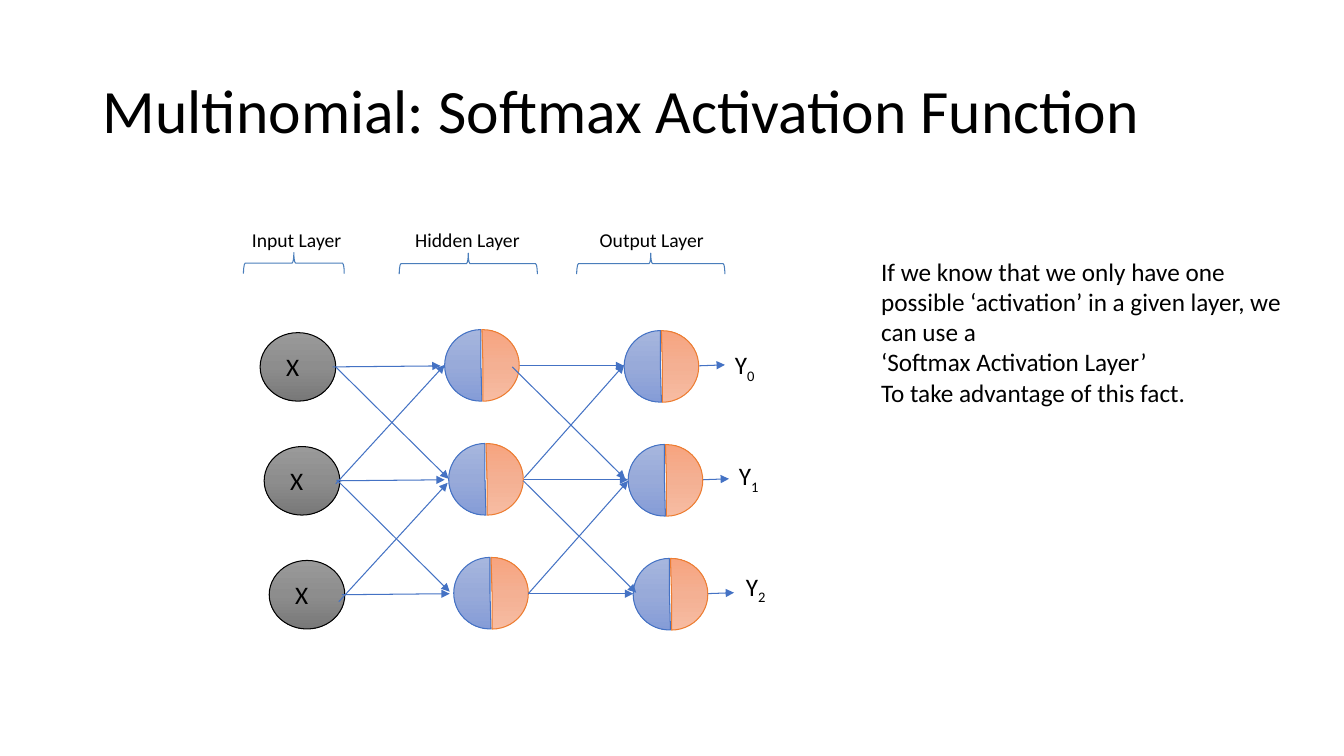
from copy import deepcopy

from lxml.etree import SubElement
from pptx import Presentation
from pptx.dml.color import RGBColor
from pptx.enum.shapes import MSO_CONNECTOR, MSO_SHAPE
from pptx.enum.text import MSO_ANCHOR, MSO_AUTO_SIZE, PP_ALIGN
from pptx.oxml.ns import qn
from pptx.util import Pt

PX = 9144
FONT = "Calibri"
BLACK = "000000"
ARROW_BLUE = "4472C4"
BRACE_BLUE = "4A7EBB"
GREY_STOPS = ("9A9A9A", "8D8D8D", "787878")
BLUE_STOPS = ("A6B6DE", "98AAD9", "859CD7")
ORANGE_STOPS = ("F7BCA2", "F4B093", "F7A47F")
ORANGE = "ED7D31"
ROW_STEP = 113
ROW_SHIFTS = (0, 4, 9)
LAYERS = (
    ("Input Layer", 0, 41, 100),
    ("Hidden Layer", 162, 214, 137),
    ("Output Layer", 345, 395, 147),
)
ROW_ARROWS = ((90, 143, 107, -1), (269, 142, 110, 0), (451, 142, 28, -1))
CROSS_ARROWS = (
    ((112, 111), ((93, 143), (94, 255), (268, 143), (279, 256))),
    ((108, -118), ((93, 259), (96, 376))),
    ((99, -112), ((280, 253), (284, 368))),
)
OUTPUT_LABELS = ((479, 121), (483, 231), (490, 341))


def color(value):
    """Turn a hex string into a colour."""
    return RGBColor.from_string(value)


def emu(*lengths):
    """Turn px lengths into EMU."""
    return [length * PX for length in lengths]


def write(frame, *lines, size=18, anchor=MSO_ANCHOR.TOP, spacing=None, subscript=None):
    """Write one paragraph per line, with an optional subscript at the end."""
    frame.word_wrap = True
    frame.auto_size = MSO_AUTO_SIZE.NONE
    frame.vertical_anchor = anchor
    for index, line in enumerate(lines):
        paragraph = frame.paragraphs[0] if index == 0 else frame.add_paragraph()
        paragraph.alignment = PP_ALIGN.LEFT
        paragraph.line_spacing = spacing
        for text in filter(None, (line, subscript)):
            run = paragraph.add_run()
            run.text = text
            run.font.name = FONT
            run.font.size = Pt(size)
            run.font.color.rgb = color(BLACK)
            if text == subscript:
                run.font._element.set("baseline", "-25000")


def add_text(slide, box, *lines, **text_format):
    """Add a text box."""
    write(slide.shapes.add_textbox(*emu(*box)).text_frame, *lines, **text_format)


def add_outline(slide, kind, box, line, stops=None, rotation=0, adjustments=()):
    """Add a preset shape with a thin line and an optional vertical gradient."""
    shape = slide.shapes.add_shape(kind, *emu(*box))
    shape.shadow.inherit = False
    shape.rotation = rotation
    for index, value in enumerate(adjustments):
        shape.adjustments[index] = value
    shape.line.color.rgb = color(line)
    shape.line.width = Pt(0.75)
    if stops is None:
        shape.fill.background()
        return
    shape.fill.gradient()
    shape.fill.gradient_angle = 270
    first_stop = shape._element.spPr.find(".//" + qn("a:gs"))
    first_stop.addnext(deepcopy(first_stop))
    for stop, position, value in zip(shape.fill.gradient_stops, (0, 0.5, 1), stops):
        stop.position = position
        stop.color.rgb = color(value)


def add_arrow(slide, left, top, across, down):
    """Add an arrow that runs by the given distances."""
    connector = slide.shapes.add_connector(
        MSO_CONNECTOR.STRAIGHT, *emu(left, top, left + across, top + down))
    connector.line.color.rgb = color(ARROW_BLUE)
    connector.line.width = Pt(0.75)
    SubElement(connector.line._get_or_add_ln(), qn("a:tailEnd"), type="triangle")
    SubElement(connector._element.spPr, qn("a:effectLst"))


def add_neuron(slide, left, top):
    """Add a node made of a blue left half and an orange right half."""
    halves = ((0, BLUE_STOPS, ARROW_BLUE, 0), (2, ORANGE_STOPS, ORANGE, 180))
    for shift, stops, line, rotation in halves:
        add_outline(slide, MSO_SHAPE.PIE, (left + shift, top, 72, 71), line, stops,
                    rotation, (53.016, 162))


def add_layer_headings(slide, left, top):
    """Add the layer names and the braces under them."""
    for name, label_left, brace_left, width in LAYERS:
        brace_box = (left + brace_left, top + 40 - width // 2, 21, width)
        add_outline(slide, MSO_SHAPE.RIGHT_BRACE, brace_box, BRACE_BLUE,
                    rotation=270, adjustments=(0.083, 0.5))
        add_text(slide, (left + label_left, top, 127, 56), name, size=14)


def add_row(slide, left, top):
    """Add one input, its hidden and output nodes and the arrows between them."""
    add_outline(slide, MSO_SHAPE.OVAL, (left + 18, top + 109, 75, 68), BLACK, GREY_STOPS)
    add_text(slide, (left + 34, top + 123, 37, 40), "X")
    for start, height, across, down in ROW_ARROWS:
        add_arrow(slide, left + start, top + height, across, down)
    add_neuron(slide, left + 379, top + 107)
    add_neuron(slide, left + 201, top + 106)


def add_network(slide, left, top):
    """Add the whole network diagram."""
    add_layer_headings(slide, left, top)
    for row, shift in enumerate(ROW_SHIFTS):
        add_row(slide, left + shift, top + row * ROW_STEP)
    for (across, down), starts in CROSS_ARROWS:
        for start, height in starts:
            add_arrow(slide, left + start, top + height, across, down)
    for number, (label_left, label_top) in enumerate(OUTPUT_LABELS):
        add_text(slide, (left + label_left, top + label_top, 57, 40), "Y",
                 subscript=str(number))


def add_title(slide, box):
    """Place and fill the title."""
    title = slide.shapes.title
    title.left, title.top, title.width, title.height = emu(*box)
    write(title.text_frame, "Multinomial: Softmax Activation Function", size=44,
          anchor=MSO_ANCHOR.MIDDLE, spacing=0.9)


def main():
    """Build and save the slide."""
    presentation = Presentation()
    presentation.slide_width, presentation.slide_height = emu(1333, 750)
    slide = presentation.slides.add_slide(presentation.slide_layouts[5])
    add_title(slide, (92, 40, 1150, 145))
    add_network(slide, 240, 221)
    add_text(slide, (864, 249, 445, 222),
             "If we know that we only have one possible ‘activation’ in a given layer, we can use a",
             "‘Softmax Activation Layer’",
             "To take advantage of this fact.")
    presentation.save("out.pptx")


if __name__ == "__main__":
    main()
